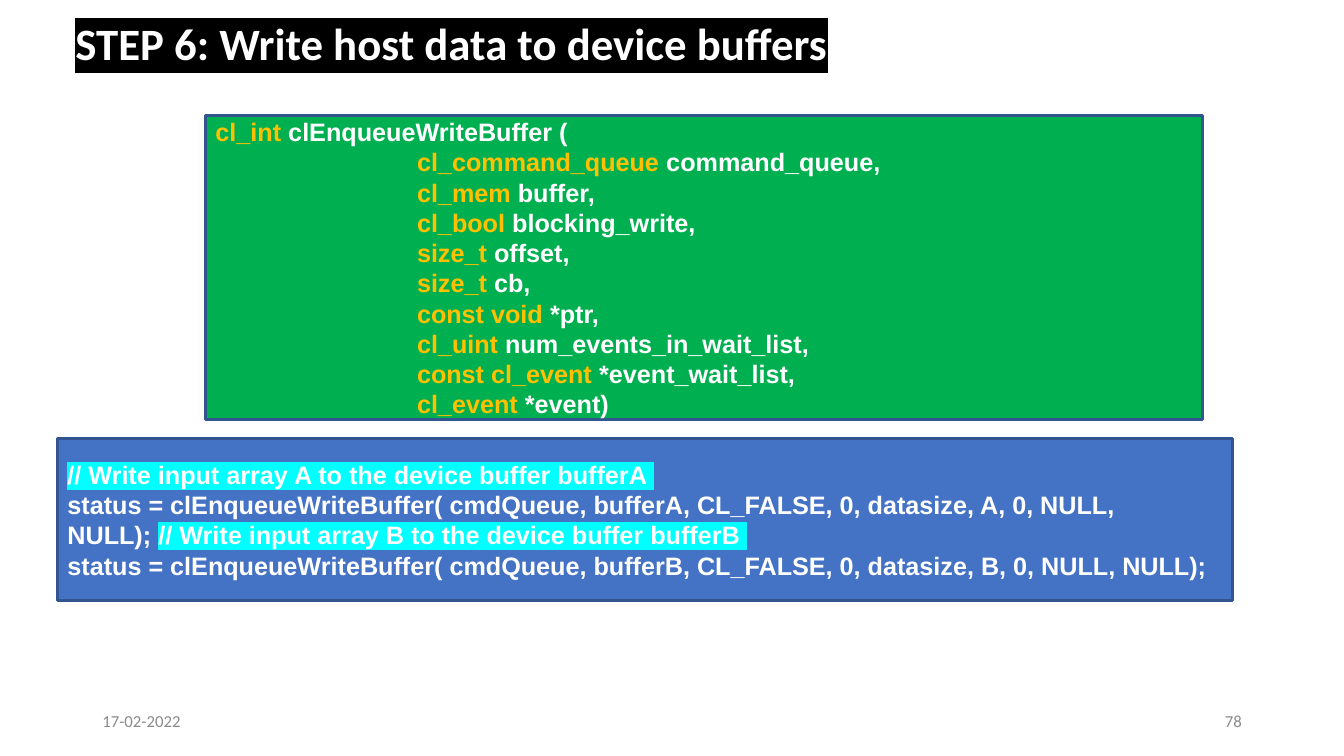
import pptx
import pptx.dml.color
import pptx.enum.shapes
import pptx.enum.text
import pptx.oxml
import pptx.oxml.ns
import pptx.util
from pptx.util import Cm

TITLE = "STEP 6: Write host data to device buffers"
DATE, PAGE = "17-02-2022", "78"
HEAD = ("cl_int ", "clEnqueueWriteBuffer (")
ARGS = [
    ("cl_command_queue ", "command_queue,"),
    ("cl_mem ", "buffer,"),
    ("cl_bool ", "blocking_write,"),
    ("size_t ", "offset,"),
    ("size_t ", "cb,"),
    ("const void ", "*ptr,"),
    ("cl_uint ", "num_events_in_wait_list,"),
    ("const cl_event ", "*event_wait_list,"),
    ("cl_event ", "*event)"),
]
GLUE = chr(160)  # no-break space: keeps the call's end with the next remark
NOTES = [f"// Write input array {x} to the device buffer buffer{x} " for x in "AB"]
CALLS = [
    f"status = clEnqueueWriteBuffer( cmdQueue, buffer{x}, CL_FALSE, 0, datasize, {x}, 0, NULL, NULL);"
    for x in "AB"
]

THEME = {
    "white": "FFFFFF", "grey": "8B8B8B", "type": "FFC000", "black": "000000",
    "mark": "00FFFF", "green": "00B050", "blue": "4472C4", "edge": "325491",
    "head": 32, "code": 18, "foot": 12,
    "sans": "Calibri", "mono": "Arial",
}
ALIGN = pptx.enum.text.PP_ALIGN


def color(name):
    return pptx.dml.color.RGBColor.from_string(THEME[name])


def element(tag, **attrs):
    node = pptx.oxml.parse_xml(f"<a:{tag} {pptx.oxml.ns.nsdecls('a')}/>")
    for key, val in attrs.items():
        node.set(key, str(val))
    return node


def write(para, text, size="code", face="mono", ink="white", bold=True, mark=None):
    run = para.add_run()
    run.text = text
    font = run.font
    font.size, font.bold = pptx.util.Pt(THEME[size]), bold
    font.color.rgb = color(ink)
    if mark:
        light = element("highlight")
        light.append(element("srgbClr", val=THEME[mark]))
        run._r.get_or_add_rPr().append(light)
    font.name = THEME[face]


def frame(shape, count=1):
    """Set up the text frame and return its paragraphs."""
    body = shape.text_frame
    body.word_wrap = True
    body.vertical_anchor = pptx.enum.text.MSO_ANCHOR.MIDDLE
    paras = [body.paragraphs[0]] + [body.add_paragraph() for _ in range(count - 1)]
    for para in paras:
        para.alignment = ALIGN.LEFT
    return paras


def panel(slide, place, fill, count):
    shape = slide.shapes.add_shape(pptx.enum.shapes.MSO_SHAPE.RECTANGLE, *place)
    shape.shadow.inherit = False
    shape.fill.solid()
    shape.fill.fore_color.rgb = color(fill)
    shape.line.color.rgb = color("edge")
    shape.line.width = pptx.util.Pt(2)
    return frame(shape, count)


def main():
    deck = pptx.Presentation()
    deck.slide_width, deck.slide_height = Cm(33.87), Cm(19.05)
    slide = deck.slides.add_slide(deck.slide_layouts[6])

    for left, text, align in ((2.33, DATE, ALIGN.LEFT), (23.93, PAGE, ALIGN.RIGHT)):
        box = slide.shapes.add_textbox(Cm(left), Cm(17.65), Cm(7.62), Cm(1.02))
        para = frame(box)[0]
        para.alignment = align
        write(para, text, size="foot", face="sans", ink="grey", bold=False)

    box = slide.shapes.add_textbox(Cm(1.65), Cm(0.13), Cm(29.2), Cm(2.08))
    para = frame(box)[0]
    para.line_spacing = 0.9
    stops = element("tabLst")
    stops.append(element("tab", pos=int(Cm(19.72)), algn="l"))
    para._p.get_or_add_pPr().append(stops)
    write(para, TITLE + "\t", size="head", face="sans", mark="black")

    place = Cm(1.45), Cm(11.05), Cm(29.62), Cm(4.09)
    first, second, third = panel(slide, place, "blue", 3)
    write(first, NOTES[0], mark="mark")
    write(second, CALLS[0] + GLUE)
    write(second, NOTES[1], mark="mark")
    write(third, CALLS[1])

    place = Cm(5.18), Cm(2.92), Cm(25.12), Cm(7.65)
    rows = [HEAD] + ARGS
    for row, (para, (kind, name)) in enumerate(zip(panel(slide, place, "green", len(rows)), rows)):
        if row:
            para._p.get_or_add_pPr().set("marL", str(int(Cm(5.08))))
        write(para, kind, ink="type")
        write(para, name)

    deck.save("out.pptx")


if __name__ == "__main__":
    main()
